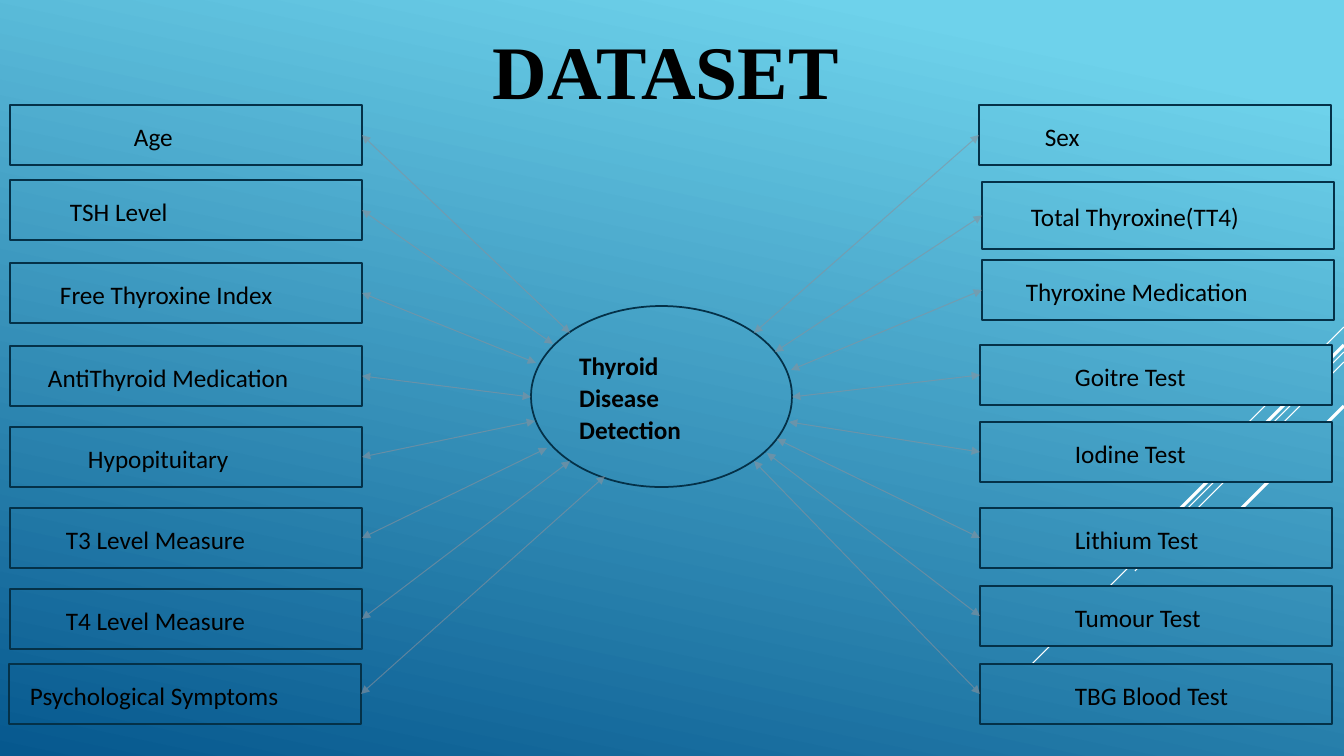
"""Build the thyroid dataset slide: sixteen attributes linked to one central topic."""
from lxml import etree
from pptx import Presentation
from pptx.dml.color import RGBColor
from pptx.enum.shapes import MSO_CONNECTOR as CONNECTOR, MSO_SHAPE as SHAPE
from pptx.enum.text import MSO_ANCHOR as ANCHOR, PP_ALIGN as ALIGN
from pptx.oxml.ns import qn
from pptx.util import Pt

TITLE = "DATASET"
TOPIC = "Thyroid Disease Detection"
# label, box x, box y, box height, text x, arrow end on the ellipse
LEFT = [
    ("Age", 10, 105, 60, 134, (570, 333)),
    ("TSH Level", 10, 180, 60, 70, (553, 344)),
    ("Free Thyroxine Index", 10, 263, 60, 60, (536, 363)),
    ("AntiThyroid Medication", 10, 346, 60, 48, (531, 397)),
    ("Hypopituitary", 10, 427, 60, 88, (535, 421)),
    ("T3 Level Measure", 10, 508, 60, 66, (547, 448)),
    ("T4 Level Measure", 10, 589, 60, 66, (570, 461)),
    ("Psychological Symptoms", 9, 664, 60, 30, (605, 476)),
]
RIGHT = [
    ("Sex", 979, 105, 60, 1045, (754, 333)),
    ("Total Thyroxine(TT4)", 982, 182, 67, 1031, (775, 352)),
    ("Thyroxine Medication", 982, 260, 60, 1026, (791, 370)),
    ("Goitre Test", 980, 345, 60, 1075, (792, 397)),
    ("Iodine Test", 980, 422, 60, 1075, (789, 422)),
    ("Lithium Test", 980, 508, 60, 1075, (777, 439)),
    ("Tumour Test", 980, 586, 60, 1075, (767, 453)),
    ("TBG Blood Test", 980, 664, 60, 1075, (754, 461)),
]
STRIPES = [(327, 101, 0.75), (352, 329, 0.75), (362, 209, 0.75), (345, 193, 2.25), (406, 140, 2.25)]
COLORS = {"sky": "6ED2EB", "deep": "06588E", "border": "043148",
          "arrow": "89919C", "stripe": "FFFFFF", "text": "000000"}
WIDTH, HEIGHT, BOX_WIDTH = 1344, 756, 352


def px(length):
    return round(length * 914400 / 100.8)


def rgb(name):
    return RGBColor.from_string(COLORS[name])


def write(frame, text, size, font, bold=False):
    frame.word_wrap = True
    paragraph = frame.paragraphs[0]
    paragraph.alignment = ALIGN.LEFT
    run = paragraph.add_run()
    run.text = text
    run.font.size, run.font.name, run.font.bold = Pt(size), font, bold
    run.font.color.rgb = rgb("text")
    return paragraph


def add_panel(slide, kind, bounds, text, margins, bold=False):
    panel = slide.shapes.add_shape(kind, *map(px, bounds))
    panel.element.remove(panel.element.find(qn("p:style")))
    panel.element.set("useBgFill", "1")
    panel.shadow.inherit = False
    panel.line.color.rgb = rgb("border")
    panel.line.width = Pt(1.25)
    frame = panel.text_frame
    frame.vertical_anchor = ANCHOR.MIDDLE
    frame.margin_left, frame.margin_right = map(px, margins)
    paragraph = write(frame, text, 18, "Calibri", bold)
    paragraph.line_spacing = 1.07
    paragraph.space_after = Pt(8)


def add_line(slide, start, end, color, weight):
    line = slide.shapes.add_connector(CONNECTOR.STRAIGHT, *map(px, start + end))
    line.line.color.rgb = rgb(color)
    line.line.width = Pt(weight)
    etree.SubElement(line.element.spPr, qn("a:effectLst"))
    return line


def add_arrow(slide, start, end):
    outline = add_line(slide, start, end, "arrow", 0.75).line._get_or_add_ln()
    etree.SubElement(outline.find(".//" + qn("a:srgbClr")), qn("a:alpha"), val="60000")
    for tip in ("a:headEnd", "a:tailEnd"):
        etree.SubElement(outline, qn(tip), type="triangle")


def main():
    deck = Presentation()
    deck.slide_width, deck.slide_height = px(WIDTH), px(HEIGHT)
    slide = deck.slides.add_slide(deck.slide_layouts[6])

    backdrop = slide.background.fill
    backdrop.gradient()
    backdrop.gradient_angle = 360 - 102
    for stop, color, position in zip(backdrop.gradient_stops, ("sky", "deep"), (0.1, 1)):
        stop.color.rgb = rgb(color)
        stop.position = position

    for y, run, weight in STRIPES:
        add_line(slide, (WIDTH, y), (WIDTH - run, y + run), "stripe", weight)

    title = slide.shapes.add_textbox(*map(px, (483, 19, 471, 102))).text_frame
    write(title, TITLE, 54, "Times New Roman", True)

    add_panel(slide, SHAPE.OVAL, (531, 306, 261, 181), TOPIC, (10, 40), True)
    for label, x, y, height, text_x, _ in LEFT + RIGHT:
        add_panel(slide, SHAPE.RECTANGLE, (x, y, BOX_WIDTH, height), label, (text_x - x, 10))

    for attributes, edge in ((LEFT, BOX_WIDTH), (RIGHT, 0)):
        for _, x, y, height, _, topic_end in attributes:
            add_arrow(slide, (x + edge, y + height / 2), topic_end)

    deck.save("out.pptx")


if __name__ == "__main__":
    main()
